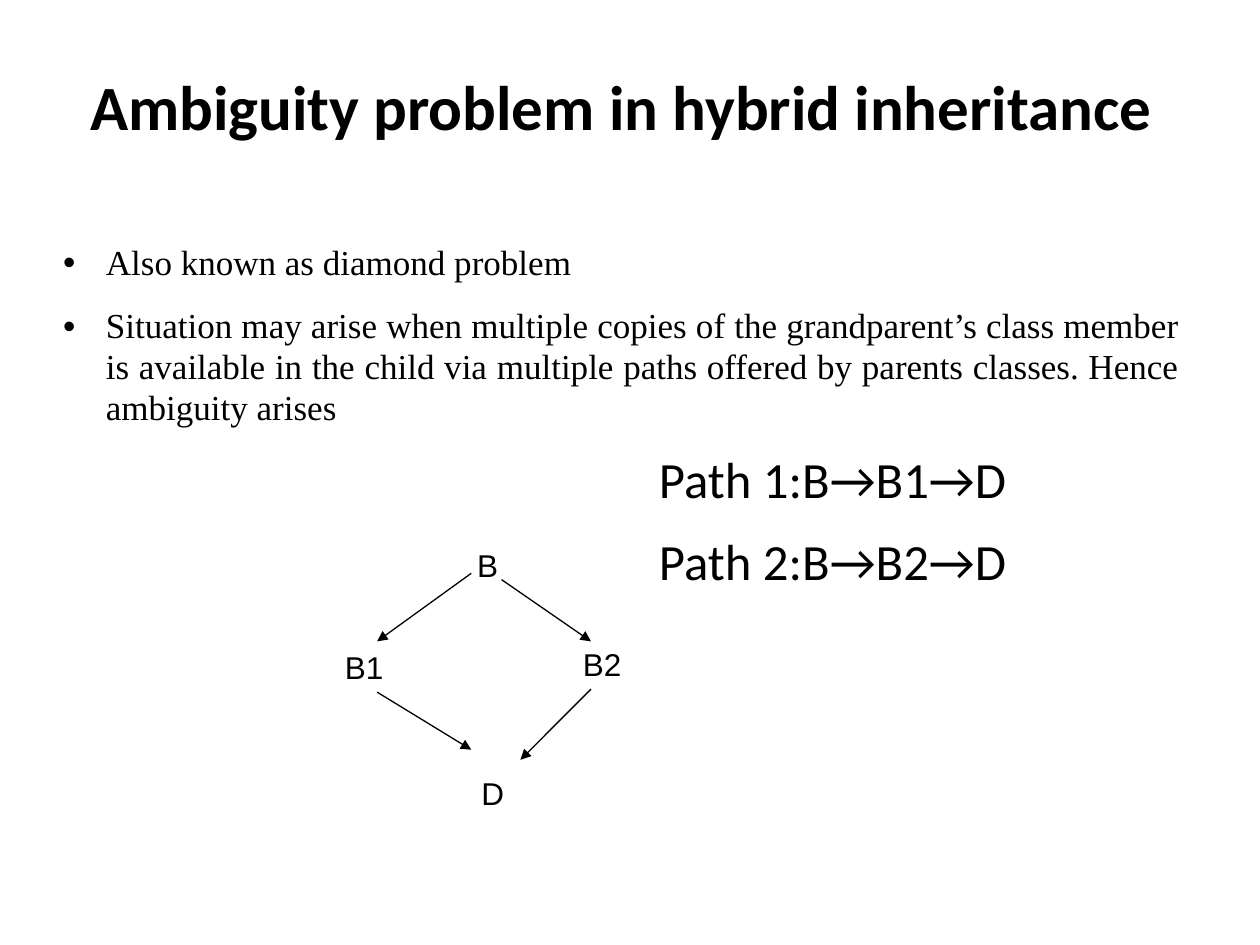
from dataclasses import dataclass
from lxml.etree import SubElement as sub
from pptx import Presentation
from pptx.dml.color import RGBColor as Rgb
from pptx.enum.shapes import MSO_CONNECTOR as Link
from pptx.enum.text import MSO_ANCHOR as Anchor, MSO_AUTO_SIZE as Fit, PP_ALIGN as Align
from pptx.oxml.ns import qn
from pptx.util import Pt


@dataclass(frozen=True)
class Theme:
    ink: Rgb = Rgb(0, 0, 0)
    paper: Rgb = Rgb(255, 255, 255)
    head: tuple = ("Calibri", 36)
    body: tuple = ("Times New Roman", 20)
    route: tuple = ("Calibri", 29)
    node: tuple = ("Arial", 18)
    rule: float = 0.75


def write(para, text, face, color, bold=False, align=Align.LEFT,
          space=None, after=None, indent=0, bullet=None):
    props = para._p.get_or_add_pPr()
    if indent:
        props.set("marL", str(Pt(indent)))
    if bullet:
        props.set("indent", str(-Pt(indent)))
        sub(props, qn("a:buFont"), typeface="Arial")
        sub(props, qn("a:buChar"), char=bullet)
    para.alignment = align
    if space:
        para.line_spacing = space
    if after:
        para.space_after = Pt(after)
    run = para.add_run()
    run.text = text
    font = run.font
    font.name, font.size = face[0], Pt(face[1])
    font.bold = bold
    font.color.rgb = color


class Deck:
    """Holds the theme and the current slide, and draws each kind of element."""

    def __init__(self, theme):
        self.theme = theme
        self.show = Presentation()
        self.show.slide_width, self.show.slide_height = Pt(720), Pt(540)
        self.slide = self.show.slides.add_slide(self.show.slide_layouts[5])
        fill = self.slide.background.fill
        fill.solid()
        fill.fore_color.rgb = theme.paper

    def title(self, text, left, top, width, height):
        box = self.slide.shapes.title
        box.left, box.top, box.width, box.height = map(Pt, (left, top, width, height))
        frame = box.text_frame
        frame.auto_size = Fit.NONE
        frame.vertical_anchor = Anchor.MIDDLE
        write(frame.paragraphs[0], text, self.theme.head, self.theme.ink,
              bold=True, align=Align.CENTER, space=0.97)

    def body(self, items, left, top, width, height):
        frame = self.slide.shapes.add_textbox(*map(Pt, (left, top, width, height))).text_frame
        frame.word_wrap = True
        frame.margin_left = frame.margin_right = frame.margin_bottom = 0
        frame.margin_top = Pt(12.2)
        for spot, (text, style) in enumerate(items):
            para = frame.add_paragraph() if spot else frame.paragraphs[0]
            write(para, text, color=self.theme.ink, space=0.97, after=12.9, **style)

    def node(self, text, left, top, width=51):
        box = self.slide.shapes.add_textbox(*map(Pt, (left, top, width, 29)))
        frame = box.text_frame
        frame.word_wrap = True
        frame.auto_size = Fit.SHAPE_TO_FIT_TEXT
        write(frame.paragraphs[0], text, self.theme.node, self.theme.ink)
        return box

    def arrow(self, start, end, source=None, target=None):
        line = self.slide.shapes.add_connector(Link.STRAIGHT, *map(Pt, start + end))
        line.line.color.rgb = self.theme.ink
        line.line.width = Pt(self.theme.rule)
        sub(line.line._get_or_add_ln(), qn("a:tailEnd"), type="triangle")
        sub(line._element.spPr, qn("a:effectLst"))
        if source:
            line.begin_connect(source, 2)
        if target:
            line.end_connect(target, 0)


def main():
    theme = Theme()
    deck = Deck(theme)
    point = dict(face=theme.body, align=Align.JUSTIFY, indent=24.5, bullet="•")
    route = dict(face=theme.route, indent=340.5)
    deck.title("Ambiguity problem in hybrid inheritance", 36, 21.6, 638, 80.6)
    deck.body([
        ("Also known as diamond problem", point),
        ("Situation may arise when multiple copies of the grandparent’s class member "
         "is available in the child via multiple paths offered by parents classes. "
         "Hence ambiguity arises", point),
        ("Path 1:B→B1→D", route),
        ("Path 2:B→B2→D", route),
    ], 36, 126.7, 638, 393)
    deck.node("B", 265.5, 308.2, 46)
    left = deck.node("B1", 190, 366.5)
    deck.node("B2", 326, 365)
    deck.node("D", 268, 438.5, 31)
    deck.arrow((269.3, 327.6), (215.5, 366.5), target=left)
    deck.arrow((286.6, 331.2), (337.7, 366.5))
    deck.arrow((215.5, 395.5), (269.3, 428.4), source=left)
    deck.arrow((337.7, 393.8), (297.4, 434.2))
    deck.show.save("out.pptx")


if __name__ == "__main__":
    main()
